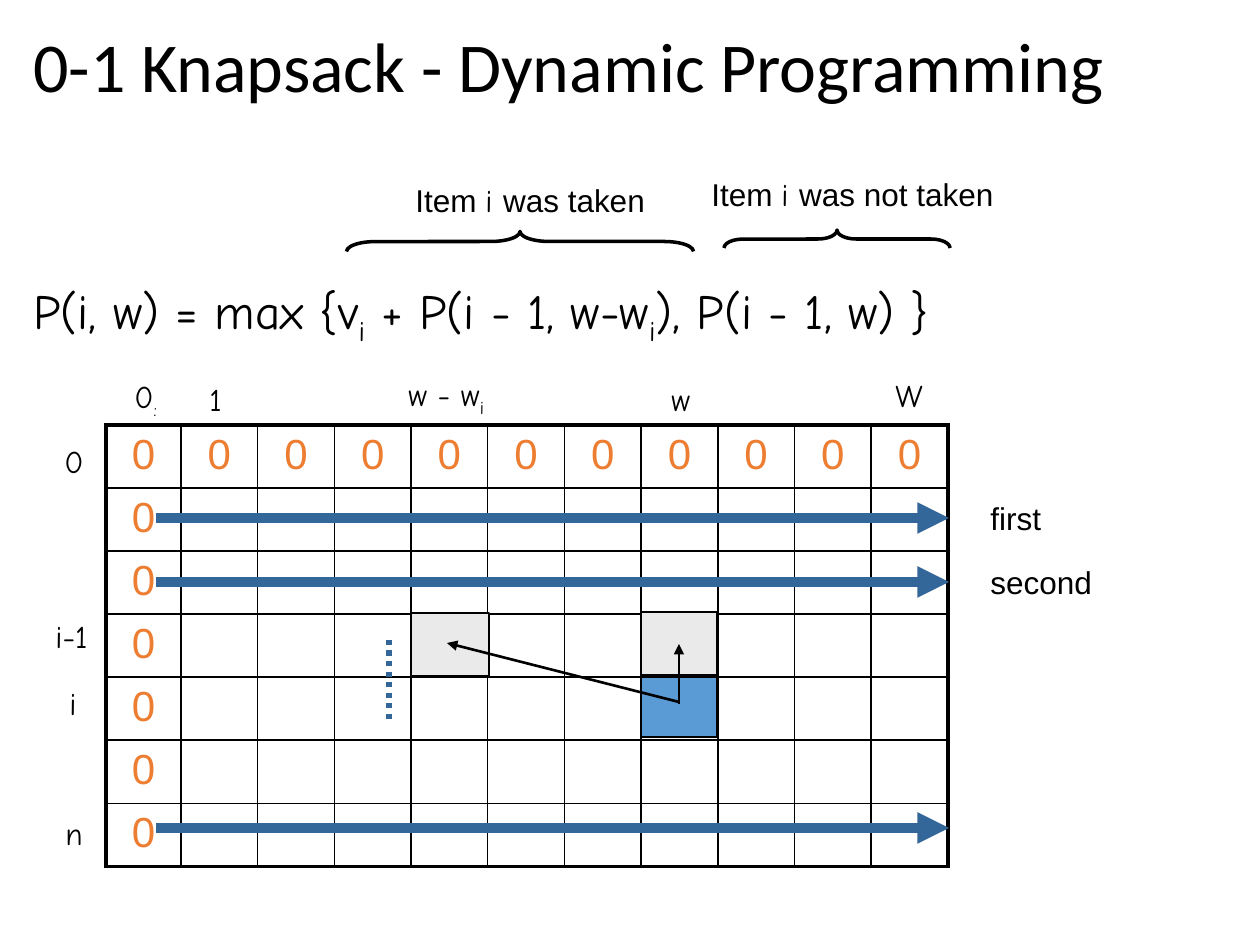
from lxml.etree import SubElement
from pptx import Presentation
from pptx.dml.color import RGBColor
from pptx.enum.dml import MSO_LINE
from pptx.enum.shapes import MSO_CONNECTOR, MSO_SHAPE
from pptx.enum.text import MSO_ANCHOR, PP_ALIGN
from pptx.oxml.ns import qn
from pptx.util import Emu, Pt

BLACK, ORANGE, STEEL, BLUE, GRAY = "000000", "ED7D31", "336699", "5B9BD5", "EAEAEA"
COMIC, ARIAL = "Comic Neue", "Arial"


def px(length):
    """Turn pixels into EMU."""
    return Emu(round(length * 914400 / 126))


def color(code):
    """Turn a hex string into a colour."""
    return RGBColor.from_string(code)


def apply(target, values):
    """Set each attribute of the target from a dict."""
    for name, value in values.items():
        setattr(target, name, value)


class Board:
    """Holds the style and the current slide."""

    def __init__(self, page):
        """Start drawing on a page."""
        self.page = page

    def add_span(self, para, text, size, font=COMIC, code=BLACK, sub=False):
        """Add a styled span to a paragraph."""
        span = para.add_run()
        span.text = text
        apply(span.font, {"name": font, "size": Pt(size)})
        span.font.color.rgb = color(code)
        if sub:
            span.font._element.set("baseline", "-25000")

    def text(self, frame, spans, size=18, font=COMIC, wrap=False, spacing=1.0):
        """Add a text box; a span is a string with its format."""
        box = self.page.shapes.add_textbox(*map(px, frame))
        apply(box.text_frame, {"word_wrap": wrap, "vertical_anchor": MSO_ANCHOR.MIDDLE})
        para = box.text_frame.paragraphs[0]
        para.line_spacing = spacing
        for words, style in spans:
            self.add_span(para, words, size, **{"font": font, **style})

    def shape(self, frame, kind=MSO_SHAPE.RECTANGLE, fill=None, width=0.75, turn=0, adjust=()):
        """Add an outlined preset shape."""
        shape = self.page.shapes.add_shape(kind, *map(px, frame))
        shape.shadow.inherit = False
        shape.rotation = turn
        for index, value in enumerate(adjust):
            shape.adjustments[index] = value
        if fill:
            shape.fill.solid()
            shape.fill.fore_color.rgb = color(fill)
        else:
            shape.fill.background()
        shape.line.color.rgb = color(BLACK)
        shape.line.width = Pt(width)

    def line(self, start, end, width, code=BLACK, dash=None, arrow=True):
        """Add a straight line, with an arrowhead at its end if wanted."""
        line = self.page.shapes.add_connector(MSO_CONNECTOR.STRAIGHT, *map(px, start + end))
        line.line.color.rgb = color(code)
        apply(line.line, {"width": Pt(width), "dash_style": dash})
        if arrow:
            SubElement(line.line._get_or_add_ln(), qn("a:tailEnd"), type="triangle")
        SubElement(line._element.spPr, qn("a:effectLst"))

    def border(self, cell, side, width):
        """Draw one edge of a cell."""
        edge = SubElement(cell._tc.get_or_add_tcPr(), qn("a:ln" + side), w=str(Pt(width)))
        SubElement(SubElement(edge, qn("a:solidFill")), qn("a:srgbClr"), val=BLACK)

    def grid(self, frame, rows, columns, first_width):
        """Add a table with zeros in its first row and column."""
        table = self.page.shapes.add_table(rows, columns, *map(px, frame)).table
        apply(table, {"first_row": False, "horz_banding": False})
        for index, column in enumerate(table.columns):
            rest = (frame[2] - first_width) / (columns - 1)
            column.width = px(rest if index else first_width)
        for row in range(rows):
            for column in range(columns):
                cell = table.cell(row, column)
                outer = {"L": column == 0, "R": column == columns - 1,
                         "T": row == 0, "B": row == rows - 1}
                for side, thick in outer.items():
                    self.border(cell, side, 2.25 if thick else 1)
                cell.fill.background()
                if row == 0 or column == 0:
                    para = cell.text_frame.paragraphs[0]
                    para.alignment = PP_ALIGN.CENTER
                    self.add_span(para, "0", 24, ARIAL, ORANGE)


deck = Presentation()
apply(deck, {"slide_width": px(1260), "slide_height": px(945)})
board = Board(deck.slides.add_slide(deck.slide_layouts[6]))
SUB = {"sub": True}

board.text((21, 23, 1212, 93), [("0-1 Knapsack - Dynamic Programming", {})],
           40, "Calibri", True, 0.9)
board.text((21, 275, 1212, 72), [
    ("P(i, w) = max {v", {}), ("i", SUB), (" + P(i - 1, w-w", {}), ("i", SUB),
    ("), P(i - 1, w) }", {})], 28, wrap=True, spacing=0.9)

board.shape((641, 674, 76, 63), fill=BLUE)
board.grid((106, 425, 842, 429), 7, 11, 75)

for left, top, width, words, sub in [
        (122, 374, 50, "0", ":"), (53, 808, 42, "n", ""), (197, 374, 39, "1", ""),
        (396, 372, 107, "w - w", "i"), (883, 370, 58, "W", ""), (43, 611, 62, "i-1", ""),
        (52, 436, 44, "0", ""), (57, 678, 34, "i", ""), (659, 374, 47, "w", "")]:
    board.text((left, top, width, 50), [(words, {})] + ([(sub, SUB)] if sub else []))

for left, top, width, ending in [(403, 175, 256, "was taken"), (699, 169, 307, "was not taken")]:
    board.text((left, top, width, 50),
               [("Item ", {}), ("i ", {"font": COMIC}), (ending, {})], font=ARIAL)
for frame, bend in [((510, 68, 20, 347), 1.47), ((828, 126, 18, 226), 1.06)]:
    board.shape(frame, MSO_SHAPE.LEFT_BRACE, width=2, turn=90, adjust=(bend, 0.5))

for frame in [(641, 612, 76, 63), (411, 613, 78, 63)]:
    board.shape(frame, fill=GRAY)
board.line((679, 704), (679, 644), 1.5)
board.line((679, 702), (447, 643), 1.5)

for height in (518, 582, 828):
    board.line((156, height), (949, height), 6, STEEL)
for top, width, words in [(493, 76, "first"), (557, 127, "second")]:
    board.text((978, top, width, 50), [(words, {})], font=ARIAL)
board.line((389, 640), (389, 723), 3, STEEL, MSO_LINE.ROUND_DOT, False)

deck.save("out.pptx")
